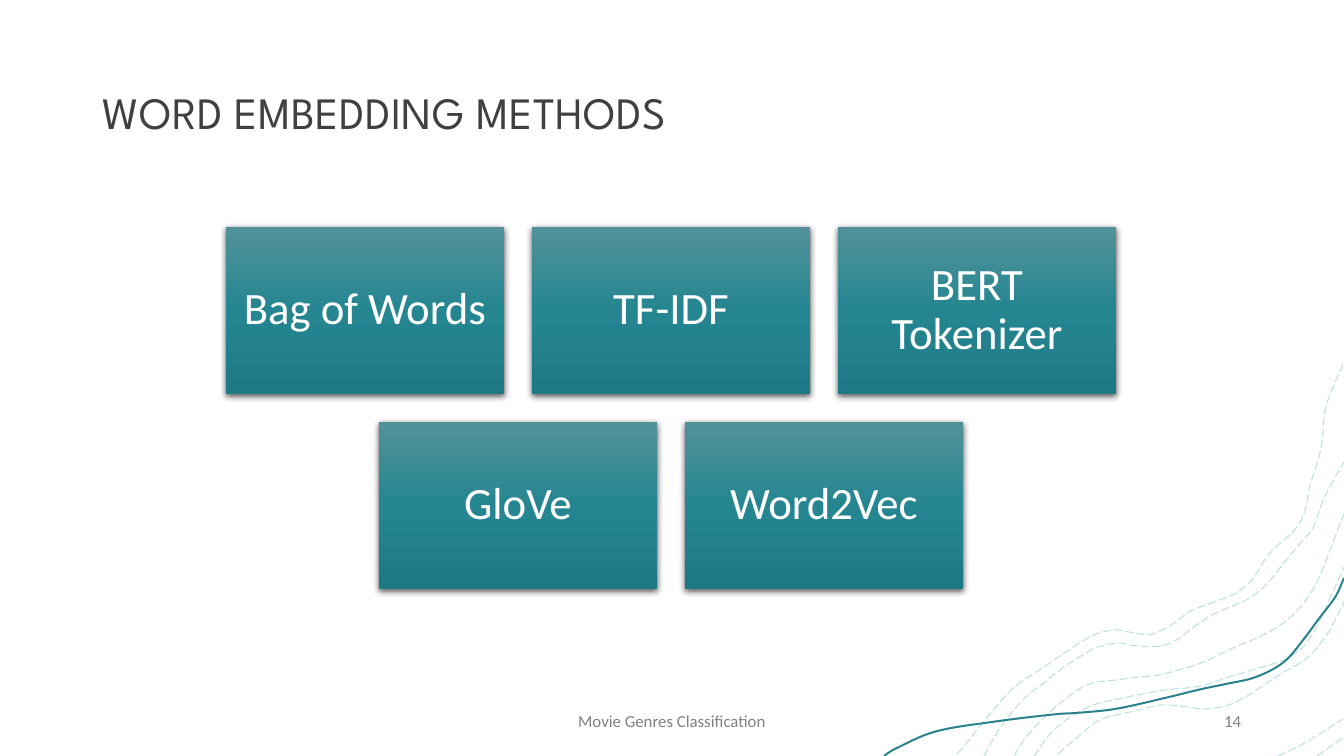
from lxml import etree
from pptx import Presentation
from pptx import util as u
from pptx.dml.color import RGBColor
from pptx.enum import dml, shapes, text
from pptx.oxml.ns import qn
import copy
import math

TITLE = "WORD EMBEDDING METHODS"
FOOTER = "Movie Genres Classification"
NUMBER = "14"
ROWS = [["Bag of Words", "TF-IDF", "BERT Tokenizer"], ["GloVe", "Word2Vec"]]
CARD_W, CARD_H, GAP, CENTER, TOP = 278, 167, 28, 671, 227
GRADIENT = [(0, "52919A"), (0.5, "258691"), (1, "1D7A85")]

DASHED = [
    [(957, 754), (965, 745), (986, 719), (1001, 701), (1017, 685), (1047, 665),
     (1072, 648), (1094, 635), (1114, 630), (1129, 632), (1142, 634), (1153, 634),
     (1171, 625), (1189, 612), (1195, 609), (1217, 601), (1230, 596), (1241, 590),
     (1251, 581), (1257, 573), (1266, 558), (1278, 545), (1289, 536), (1297, 527),
     (1304, 514), (1308, 497), (1309, 489), (1321, 449), (1326, 407), (1344, 362)],
    [(984, 756), (1000, 728), (1023, 700), (1045, 682), (1064, 667), (1091, 650),
     (1097, 647), (1119, 643), (1130, 645), (1138, 646), (1162, 646), (1180, 638),
     (1191, 629), (1212, 615), (1235, 605), (1250, 598), (1267, 584), (1280, 568),
     (1293, 552), (1303, 540), (1312, 530), (1318, 515), (1325, 496), (1344, 462)],
    [(1317, 756), (1344, 737)],
    [(1278, 756), (1303, 744), (1343, 719)],
    [(1058, 754), (1079, 736), (1100, 720), (1135, 711), (1162, 705), (1187, 707),
     (1205, 709), (1234, 703), (1281, 674), (1307, 658), (1328, 633), (1344, 602)],
    [(1034, 756), (1054, 730), (1088, 707), (1123, 698), (1165, 690), (1201, 686),
     (1232, 676), (1269, 665), (1288, 658), (1305, 645), (1320, 620), (1344, 567)],
    [(1014, 756), (1027, 736), (1057, 706), (1087, 685), (1116, 680), (1141, 677),
     (1159, 675), (1201, 663), (1233, 648), (1261, 636), (1285, 622), (1302, 605),
     (1317, 582), (1344, 514)],
]
BAND = [
    (1344, 578), (1336, 596), (1318, 620), (1304, 639), (1284, 662), (1256, 677),
    (1226, 684), (1202, 689), (1165, 698), (1115, 709), (1076, 713), (1058, 714),
    (992, 722), (934, 732), (893, 750), (884, 756)]

SCALE = 12192000 / 1344


def px(n):
    return u.Emu(round(n * SCALE))


def rgb(value):
    return RGBColor.from_string(value)


def tangents(points):
    ends = [points[0], *points, points[-1]]
    out = []
    for (ax, ay), (bx, by) in zip(ends, ends[2:]):
        length = math.dist((ax, ay), (bx, by))
        out.append(((bx - ax) / length, (by - ay) / length))
    return out


def offset(points, d):
    return [(x - ty * d, y + tx * d) for (x, y), (tx, ty) in zip(points, tangents(points))]


def bend(segments, points):
    dirs = tangents(points)
    for seg, a, b, ta, tb in zip(segments, points, points[1:], dirs, dirs[1:]):
        reach = math.dist(a, b) / 3
        seg.tag = qn("a:cubicBezTo")
        for i, ((x, y), (tx, ty), way) in enumerate([(a, ta, reach), (b, tb, -reach)]):
            pt = etree.Element(qn("a:pt"), x=str(round(x + tx * way)), y=str(round(y + ty * way)))
            seg.insert(i, pt)


def add_curve(s, edges):
    pts = [(px(x), px(y)) for edge in edges for x, y in edge]
    fb = s.shapes.build_freeform(*pts[0], scale=1.0)
    fb.add_line_segments(pts[1:], close=len(edges) > 1)
    sp = fb.convert_to_shape()
    sp.shadow.inherit = False
    outline = sp._element.find(".//" + qn("a:pathLst"))
    nodes = [(int(pt.get("x")), int(pt.get("y"))) for pt in outline.iter(qn("a:pt"))]
    segments = list(outline.iter(qn("a:lnTo")))
    start = 0
    for edge in edges:
        end = start + len(edge)
        bend(segments[start:end - 1], nodes[start:end])
        start = end
    return sp


def add_contour(s, points):
    sp = add_curve(s, [points])
    sp.fill.background()
    sp.line.color.rgb = rgb("41A6A6")
    sp.line.width = u.Pt(0.75)
    sp.line.dash_style = dml.MSO_LINE.LONG_DASH
    clr = sp.line._ln.find(".//" + qn("a:srgbClr"))
    etree.SubElement(clr, qn("a:alpha"), val="35000")


def add_band(s):
    sp = add_curve(s, [offset(BAND, -1), offset(BAND, 1)[::-1]])
    sp.fill.solid()
    sp.fill.fore_color.rgb = rgb("2A828C")
    sp.line.fill.background()


def write(sp, words, size, font, color, align):
    tf = sp.text_frame
    tf.word_wrap = True
    tf.vertical_anchor = text.MSO_ANCHOR.MIDDLE
    p = tf.paragraphs[0]
    p.alignment = align
    r = p.add_run()
    r.text = words
    r.font.size = u.Pt(size)
    r.font.name = font
    r.font.color.rgb = rgb(color)
    return p


def add_label(s, box, *style):
    return write(s.shapes.add_textbox(*map(px, box)), *style)


def add_card(s, x, y, words):
    sp = s.shapes.add_shape(shapes.MSO_SHAPE.RECTANGLE, *map(px, (x, y, CARD_W, CARD_H)))
    sp.fill.gradient()
    sp.fill.gradient_angle = 270
    stops = sp.fill._fill._gradFill.find(qn("a:gsLst"))
    stops.append(copy.deepcopy(stops[-1]))
    for stop, (position, color) in zip(sp.fill.gradient_stops, GRADIENT):
        stop.position = position
        stop.color.rgb = rgb(color)
    sp.line.fill.background()
    sp.shadow.inherit = False
    effects = sp._element.spPr.find(qn("a:effectLst"))
    shadow = etree.SubElement(effects, qn("a:outerShdw"), blurRad=str(u.Pt(4.5)),
                              dist=str(u.Pt(1.5)), dir="5400000", rotWithShape="0")
    clr = etree.SubElement(shadow, qn("a:srgbClr"), val="000000")
    etree.SubElement(clr, qn("a:alpha"), val="63000")
    tf = sp.text_frame
    tf.margin_left = tf.margin_right = tf.margin_top = tf.margin_bottom = px(13)
    p = write(sp, words, 32, "Calibri", "FFFFFF", text.PP_ALIGN.CENTER)
    p.line_spacing = 0.9


def main():
    prs = Presentation()
    prs.slide_width, prs.slide_height = px(1344), px(756)
    s = prs.slides.add_slide(prs.slide_layouts[6])
    for points in DASHED:
        add_contour(s, points)
    add_band(s)
    p = add_label(s, (93, 42, 1210, 146), TITLE, 32, "League Spartan", "404040",
                  text.PP_ALIGN.LEFT)
    p.line_spacing = 0.9
    p.runs[0].font._element.set("spc", "30")
    add_label(s, (445, 701, 454, 40), FOOTER, 12, "Calibri", "808080", text.PP_ALIGN.CENTER)
    add_label(s, (949, 701, 302, 40), NUMBER, 12, "Calibri", "808080", text.PP_ALIGN.RIGHT)
    for i, row in enumerate(ROWS):
        left = CENTER - (len(row) * (CARD_W + GAP) - GAP) // 2
        for j, words in enumerate(row):
            add_card(s, left + j * (CARD_W + GAP), TOP + i * (CARD_H + GAP), words)
    prs.save("out.pptx")


if __name__ == "__main__":
    main()
